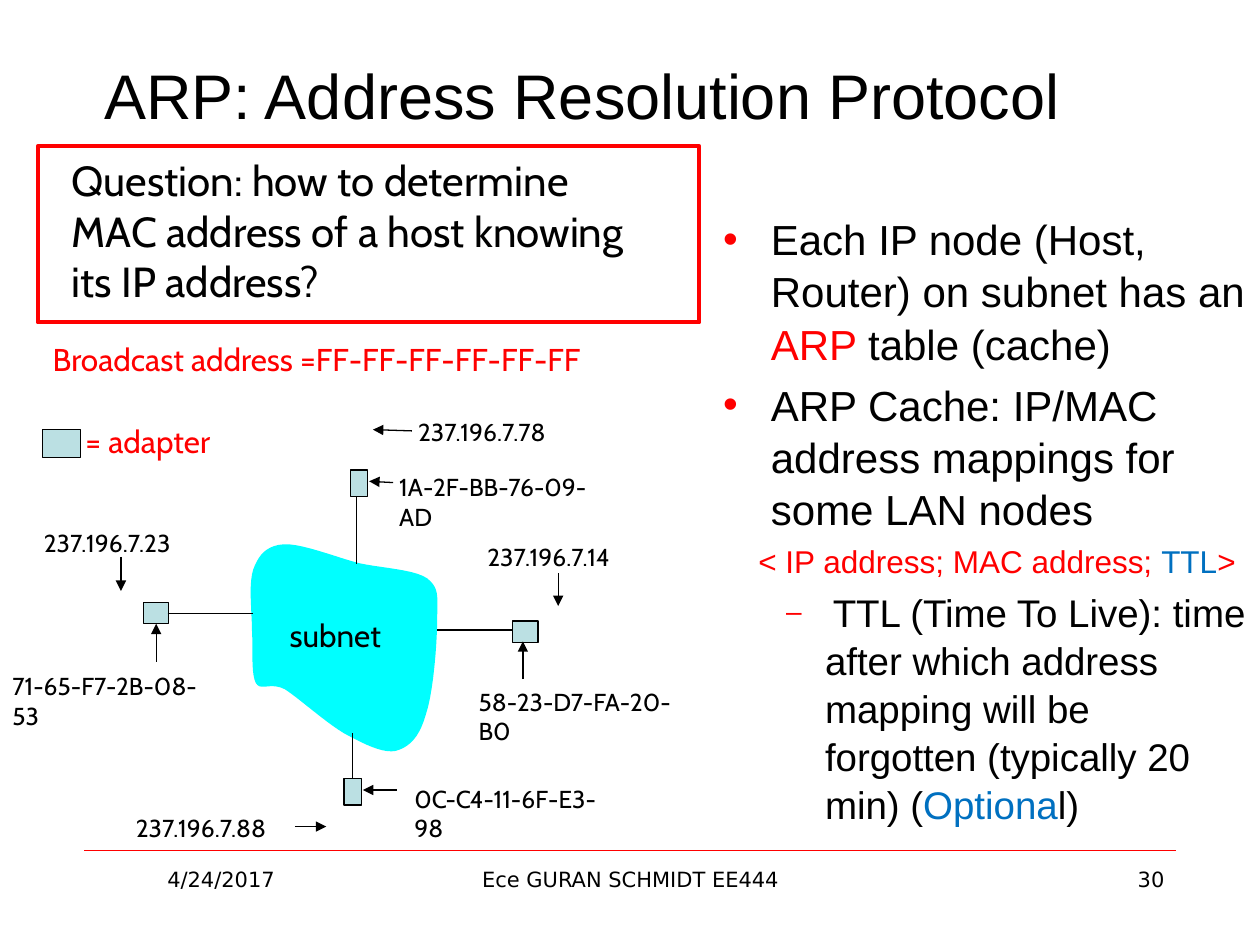
from pptx import Presentation
from pptx import util as u
from pptx.dml.color import RGBColor
from pptx.enum import shapes, text
from pptx.oxml.ns import qn
from lxml import etree

COLORS = {"ink": "000000", "red": "FF0000", "blue": "0070C0",
          "cloud": "00FFFF", "adapter": "BBE0E3"}
LEFT, CENTER, RIGHT = text.PP_ALIGN.LEFT, text.PP_ALIGN.CENTER, text.PP_ALIGN.RIGHT

deck = Presentation()
deck.slide_width, deck.slide_height = u.Inches(10), u.Inches(7.5)
slide = deck.slides.add_slide(deck.slide_layouts[6])
cell = deck.slide_width / 100


def grid(*cells):
    return [round(n * cell) for n in cells]


def write(place, paragraphs, size, font, color="ink", align=LEFT, wrap=True,
          anchor=text.MSO_ANCHOR.TOP):
    frame = slide.shapes.add_textbox(*grid(*place)).text_frame
    frame.word_wrap, frame.vertical_anchor = wrap, anchor
    for index, content in enumerate(paragraphs):
        paragraph = frame.paragraphs[0] if index == 0 else frame.add_paragraph()
        paragraph.alignment = align
        runs = [(content, color, size)] if isinstance(content, str) else content
        for words, tint, points in runs:
            run = paragraph.add_run()
            run.text = words
            run.font.name, run.font.size = font, u.Pt(points)
            run.font.color.rgb = RGBColor.from_string(COLORS[tint])
    return frame


footer = [(6.7, 21.7, "4/24/2017", CENTER),
          (34.2, 31.7, "Ece GURAN SCHMIDT EE444", CENTER),
          (71.7, 21.7, "30", RIGHT)]
for left, width, words, align in footer:
    write((left, 68.3, width, 5.2), [words], 12, "DejaVu Sans", align=align)

write((4.1, 2.5, 84.2, 10), ["ARP: Address Resolution Protocol"], 36, "Arial",
      align=CENTER, anchor=text.MSO_ANCHOR.MIDDLE)

points = [
    [("Each IP node (Host, Router) on subnet has an ", "ink", 24),
     ("ARP ", "red", 24), ("table (cache)", "ink", 24)],
    [("ARP Cache: IP/MAC address mappings for some LAN nodes", "ink", 24)],
    [("< IP address; MAC address; ", "red", 18), ("TTL", "blue", 18), (">", "red", 18)],
    [(" ", "ink", 16),
     ("TTL (Time To Live): time after which address mapping will be "
      "forgotten (typically 20 min) (", "ink", 22),
     ("Optiona", "blue", 22), ("l)", "ink", 22)],
]
layout = [(0.38, -0.38, "•", 0), (0.38, -0.38, "•", 4.8),
          (0.38, -0.1, None, 3.6), (0.81, -0.31, "–", 4.4)]
body = write((56.4, 16.3, 43.6, 50.6), points, 24, "Arial")
for paragraph, (margin, indent, bullet, before) in zip(body.paragraphs, layout):
    paragraph.line_spacing, paragraph.space_before = 1.04, u.Pt(before)
    props = paragraph._p.get_or_add_pPr()
    props.set("marL", str(u.Inches(margin)))
    props.set("indent", str(u.Inches(indent)))
    if bullet:
        tint = etree.SubElement(props, qn("a:buClr"))
        etree.SubElement(tint, qn("a:srgbClr")).set("val", COLORS["red"])
        etree.SubElement(props, qn("a:buFont")).set("typeface", "Arial")
        etree.SubElement(props, qn("a:buChar")).set("char", bullet)

write((4.7, 11.8, 47.7, 13),
      ["Question: how to determine", "MAC address of a host knowing its IP address?"],
      24, "Cabin")

start = (22.5, 43.2)
curves = [
    ((21.1, 43.3), (20.5, 44.1), (20.1, 45.2)), ((19.7, 46.4), (20, 48.6), (20, 50.1)),
    ((20.1, 51.6), (19.9, 53.4), (20.3, 54.2)), ((20.7, 54.9), (21.4, 54.1), (22.6, 54.7)),
    ((23.7, 55.4), (25.8, 57.3), (27.3, 58.2)), ((28.8, 59), (30.3, 59.8), (31.4, 59.6)),
    ((32.5, 59.3), (33.3, 58.5), (33.8, 56.7)), ((34.4, 55), (34.7, 50.9), (34.7, 49.1)),
    ((34.7, 47.3), (34.9, 46.7), (33.9, 45.9)), ((32.9, 45.2), (30.4, 45.1), (28.5, 44.7)),
    ((26.6, 44.2), (23.9, 43.1), start),
]
outline, here, steps = [], start, 10
for first, second, end in curves:
    for step in range(1, steps + 1):
        t = step / steps
        outline.append(grid(*(
            (1 - t) ** 3 * a + 3 * t * (1 - t) ** 2 * b + 3 * t * t * (1 - t) * c + t ** 3 * d
            for a, b, c, d in zip(here, first, second, end))))
    here = end
builder = slide.shapes.build_freeform(*grid(*start))
builder.add_line_segments(outline, close=True)
cloud = builder.convert_to_shape()
cloud.shadow.inherit = False
cloud.fill.solid()
cloud.fill.fore_color.rgb = RGBColor.from_string(COLORS["cloud"])
cloud.line.fill.background()

boxes = [(place, "adapter", "ink", 0.75) for place in (
    (40.7, 49.3, 2, 1.7), (11.4, 47.8, 2, 1.7), (27.8, 37.3, 1.4, 2.1),
    (27.3, 61.8, 1.4, 2.1), (3.4, 34.1, 3, 2.2))]
boxes.append(((3, 11.6, 52.5, 14), None, "red", 2.25))
for place, fill, edge, weight in boxes:
    box = slide.shapes.add_shape(shapes.MSO_SHAPE.RECTANGLE, *grid(*place))
    box.shadow.inherit = False
    if fill:
        box.fill.solid()
        box.fill.fore_color.rgb = RGBColor.from_string(COLORS[fill])
    else:
        box.fill.background()
    box.line.color.rgb = RGBColor.from_string(COLORS[edge])
    box.line.width = u.Pt(weight)

cables = [(13.3, 48.7, 20.1, 48.7), (28.3, 39.4, 28.3, 44.8),
          (40.7, 50, 34.7, 50), (28, 61.8, 28, 58.2)]
pointers = [(31.2, 38.3, 29.3, 38.2), (41.5, 53.9, 41.5, 50.9), (31.5, 62.7, 28.8, 62.7),
            (12.4, 52.5, 12.4, 49.5), (9.6, 44.2, 9.6, 46.9), (32.7, 34.2, 29.6, 34.1),
            (44.3, 45.5, 44.3, 48.1), (23.4, 65.6, 25.9, 65.6)]
strokes = [((6.7, 67.5, 93.3, 67.5), "red", 0.25, False)]
strokes += [(ends, "ink", 0.75, False) for ends in cables]
strokes += [(ends, "ink", 0.75, True) for ends in pointers]
for ends, tint, weight, arrow in strokes:
    stroke = slide.shapes.add_connector(shapes.MSO_CONNECTOR.STRAIGHT, *grid(*ends))
    stroke.line.color.rgb = RGBColor.from_string(COLORS[tint])
    stroke.line.width = u.Pt(weight)
    if arrow:
        etree.SubElement(stroke.line._get_or_add_ln(), qn("a:tailEnd")).set("type", "triangle")
    etree.SubElement(stroke._element.spPr, qn("a:effectLst"))

mac_addresses = [(30.7, 37, 18.9, "1A-2F-BB-76-09-AD"), (37, 54, 18.7, "58-23-D7-FA-20-B0"),
                 (31.9, 61.7, 18.5, "0C-C4-11-6F-E3-98"), (0, 52.8, 18.3, "71-65-F7-2B-08-53")]
for left, top, width, address in mac_addresses:
    write((left, top, width, 3.3), [address], 14, "Cabin")

ip_addresses = [(2.5, 41.4, "237.196.7.23"), (32.2, 32.6, "237.196.7.78"),
                (37.7, 42.5, "237.196.7.14"), (9.8, 64, "237.196.7.88")]
for left, top, address in ip_addresses:
    write((left, top, 13.3, 3.3), [address], 14, "Cabin", wrap=False)

captions = [((22, 48.4, 9.4, 4), "subnet", "ink"),
            ((3.2, 26.5, 47, 4), "Broadcast address =FF-FF-FF-FF-FF-FF", "red"),
            ((5.8, 33, 13.1, 4), "= adapter", "red")]
for place, words, tint in captions:
    write(place, [words], 18, "Cabin", tint, wrap=False)

deck.save("out.pptx")
